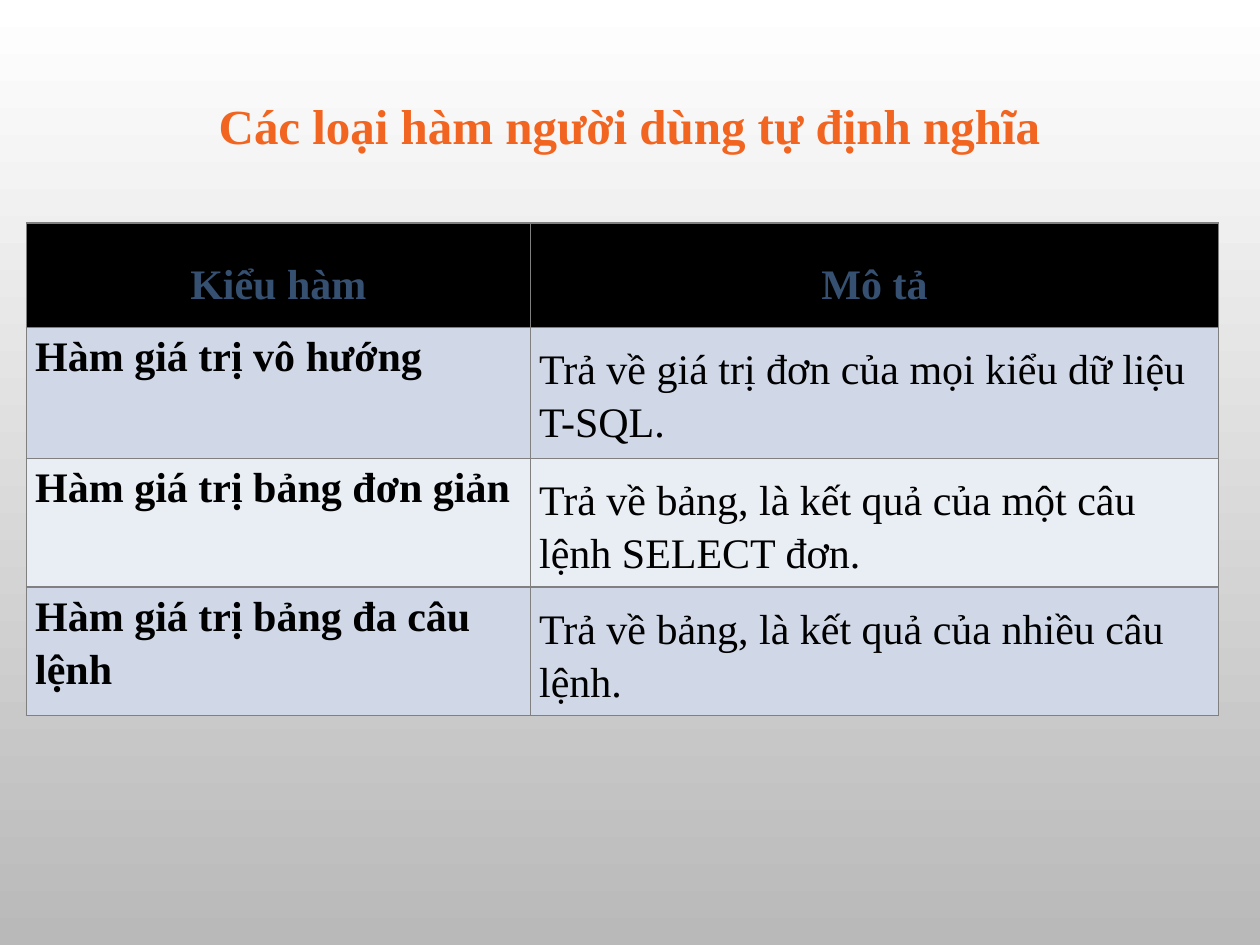
"""Build a slide with a titled table of user-defined function types."""
import pptx
import pptx.util
import pptx.dml.color
import pptx.enum.text
import pptx.oxml
import pptx.oxml.ns

Inches, Pt = pptx.util.Inches, pptx.util.Pt
RGB = pptx.dml.color.RGBColor.from_string
Align = pptx.enum.text.PP_ALIGN
Anchor = pptx.enum.text.MSO_ANCHOR

TITLE = "Các loại hàm người dùng tự định nghĩa"
ROWS = [
    ("Kiểu hàm", "Mô tả"),
    ("Hàm giá trị vô hướng", "Trả về giá trị đơn của mọi kiểu dữ liệu T-SQL."),
    ("Hàm giá trị bảng đơn giản", "Trả về bảng, là kết quả của một câu lệnh SELECT đơn."),
    ("Hàm giá trị bảng đa câu lệnh", "Trả về bảng, là kết quả của nhiều câu lệnh."),
]
THEME = {
    "font": "Times New Roman",
    "title": {"size": 28, "color": "F16521"},
    "head": {"size": 24, "color": "355071"},
    "body": {"size": 24, "color": "000000"},
    "back": ("FFFFFF", "B9B9B9"),
    "black": "000000",
    "bands": ("D0D8E8", "E9EDF4"),
    "border": "808080",
}
SIZE = (10, 7.5)
COLS = (4, 5.46)
HEIGHTS = (0.83, 1.04, 1, 1)
TABLE = (0.21, 1.77, sum(COLS), sum(HEIGHTS))
HEAD = (1.08, 0.71, 7.83, 0.57)


def apply(item, values):
    for name, value in values.items():
        setattr(item, name, value)


def style(font, role, bold):
    look = THEME[role]
    apply(font, {"name": THEME["font"], "size": Pt(look["size"]), "bold": bold})
    font.color.rgb = RGB(look["color"])


def border(cell):
    props = cell._tc.get_or_add_tcPr()
    for side in "LRTB":
        props.append(pptx.oxml.parse_xml(
            f'<a:ln{side} {pptx.oxml.ns.nsdecls("a")} w="{Pt(1)}"><a:solidFill>'
            f'<a:srgbClr val="{THEME["border"]}"/></a:solidFill></a:ln{side}>'))


def fill_cell(cell, text, row, col):
    head = row == 0
    apply(cell, {
        "text": text,
        "margin_left": Inches(0.07), "margin_right": Inches(0.07),
        "margin_top": Inches(0.1 if head or col else 0), "margin_bottom": 0,
        "vertical_anchor": Anchor.MIDDLE if head else Anchor.TOP,
    })
    line = cell.text_frame.paragraphs[0]
    apply(line, {"alignment": Align.CENTER if head else Align.LEFT,
                 "line_spacing": 1.15, "space_after": Pt(10)})
    style(line.runs[0].font, "head" if head else "body", head or col == 0)
    border(cell)
    cell.fill.solid()
    cell.fill.fore_color.rgb = RGB(THEME["black"] if head else THEME["bands"][(row - 1) % 2])


def add_grid(slide):
    grid = slide.shapes.add_table(len(ROWS), len(COLS), *map(Inches, TABLE)).table
    apply(grid, {"first_row": False, "horz_banding": False})
    for col, width in zip(grid.columns, COLS):
        col.width = Inches(width)
    for row, height in zip(grid.rows, HEIGHTS):
        row.height = Inches(height)
    for row, texts in enumerate(ROWS):
        for col, text in enumerate(texts):
            fill_cell(grid.cell(row, col), text, row, col)


def add_title(slide):
    title = slide.shapes.title
    apply(title, dict(zip(("left", "top", "width", "height"), map(Inches, HEAD))))
    frame = title.text_frame
    apply(frame, {"text": TITLE, "word_wrap": True, "vertical_anchor": Anchor.TOP,
                  "auto_size": pptx.enum.text.MSO_AUTO_SIZE.SHAPE_TO_FIT_TEXT})
    line = frame.paragraphs[0]
    line.alignment = Align.CENTER
    style(line.runs[0].font, "title", True)


def main():
    deck = pptx.Presentation()
    apply(deck, dict(zip(("slide_width", "slide_height"), map(Inches, SIZE))))
    slide = deck.slides.add_slide(deck.slide_layouts[5])
    back = slide.background.fill
    back.gradient()
    back.gradient_angle = 270
    for stop, color in zip(back.gradient_stops, THEME["back"]):
        stop.color.rgb = RGB(color)
    add_grid(slide)
    add_title(slide)
    deck.save("out.pptx")


if __name__ == "__main__":
    main()
